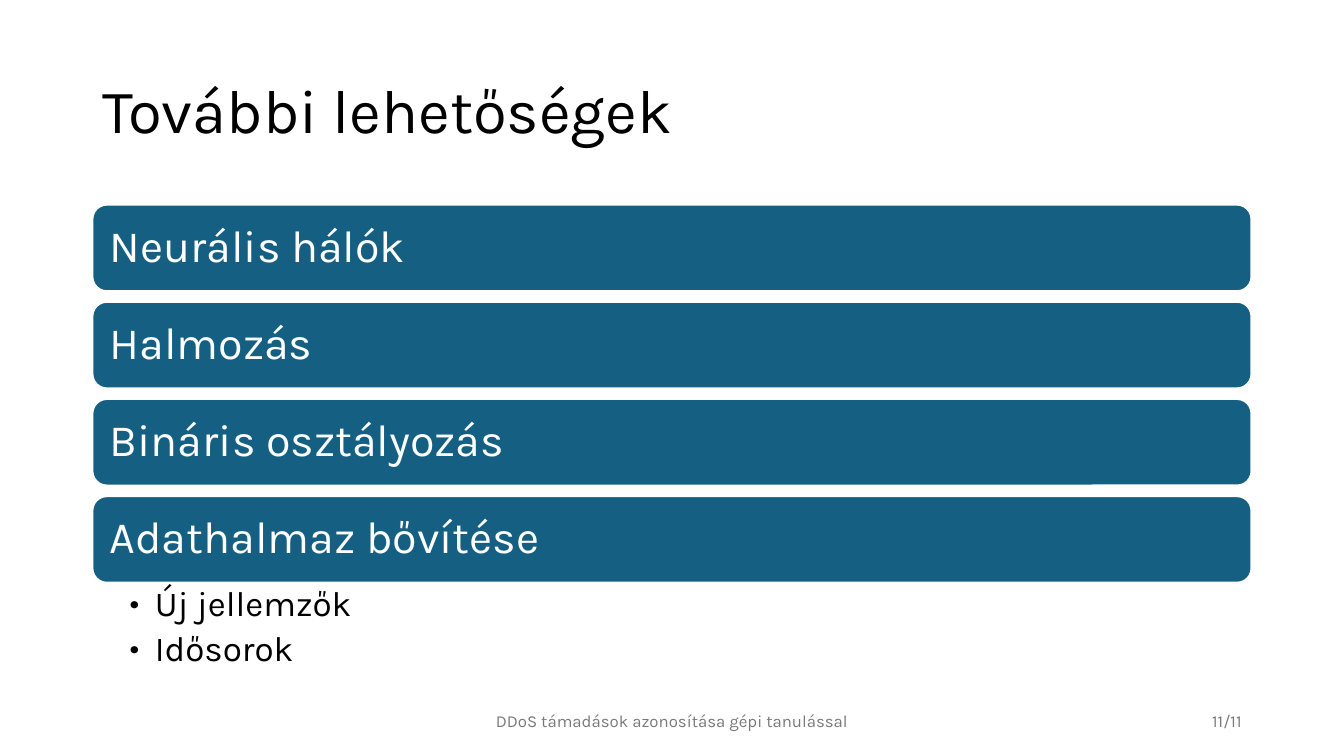
from dataclasses import dataclass

from lxml.etree import SubElement
from pptx import Presentation
from pptx.dml.color import RGBColor
from pptx.enum.shapes import MSO_SHAPE
from pptx.enum.text import MSO_ANCHOR, PP_ALIGN
from pptx.oxml.ns import qn
from pptx.util import Inches, Pt

FONT = "Karla"
BLACK, WHITE, BLUE, GREY = "000000", "FFFFFF", "156082", "797979"
COLUMNS, ROWS = 160, 150

deck = Presentation()
deck.slide_width, deck.slide_height = Inches(40 / 3), Inches(7.5)
page = deck.slides.add_slide(deck.slide_layouts[6])


@dataclass
class Area:
    """A place on the slide, in grid columns and rows."""
    column: float
    row: float
    columns: float
    rows: float

    def lengths(self) -> tuple[int, int, int, int]:
        width, height = deck.slide_width / COLUMNS, deck.slide_height / ROWS
        return (round(self.column * width), round(self.row * height),
                round(self.columns * width), round(self.rows * height))


@dataclass
class Style:
    size: float
    color: str
    align: PP_ALIGN = PP_ALIGN.LEFT
    anchor: MSO_ANCHOR = MSO_ANCHOR.MIDDLE
    line_spacing: float = 0.9
    space_after: float = 0
    insets: tuple[float, float, float, float] = (0.1, 0.05, 0.1, 0.05)
    bullet: bool = False


@dataclass
class Label:
    text: str
    area: Area
    style: Style


def rgb(color: str) -> RGBColor:
    return RGBColor.from_string(color)


def add_bullet(para) -> None:
    para.level = 1
    properties = para._p.get_or_add_pPr()
    properties.set("marL", str(Inches(0.25)))
    properties.set("indent", str(-Inches(0.25)))
    SubElement(properties, qn("a:buFont")).set("typeface", FONT)
    SubElement(properties, qn("a:buChar")).set("char", "•")


def write(box, text: str, style: Style) -> None:
    frame = box.text_frame
    frame.text = text
    frame.word_wrap = True
    frame.vertical_anchor = style.anchor
    (frame.margin_left, frame.margin_top,
     frame.margin_right, frame.margin_bottom) = map(Inches, style.insets)
    for para in frame.paragraphs:
        if style.bullet:
            add_bullet(para)
        para.alignment = style.align
        para.line_spacing = style.line_spacing
        para.space_after = Pt(style.space_after)
        for span in para.runs:
            span.font.name = FONT
            span.font.size = Pt(style.size)
            span.font.color.rgb = rgb(style.color)


def add_label(label: Label) -> None:
    write(page.shapes.add_textbox(*label.area.lengths()), label.text, label.style)


def add_bar(label: Label) -> None:
    bar = page.shapes.add_shape(MSO_SHAPE.ROUNDED_RECTANGLE, *label.area.lengths())
    bar.shadow.inherit = False
    bar.fill.solid()
    bar.fill.fore_color.rgb = rgb(BLUE)
    bar.line.color.rgb = rgb(WHITE)
    bar.line.width = Pt(1.5)
    write(bar, label.text, label.style)


def main() -> None:
    left, width = 11, 138
    first_bar, bar_height, bar_step = 40.6, 17.2, 19.28
    topics = ["Neurális hálók", "Halmozás", "Bináris osztályozás", "Adathalmaz bővítése"]
    topic_style = Style(32, WHITE, space_after=11, insets=(0.13, 0.13, 0.13, 0.13))
    detail_style = Style(25, BLACK, anchor=MSO_ANCHOR.TOP, space_after=5,
                         insets=(0.37, 0.04, 0.25, 0.04), bullet=True)
    footer_style = Style(12, GREY, PP_ALIGN.CENTER, line_spacing=1)
    number_style = Style(12, GREY, PP_ALIGN.RIGHT, line_spacing=1)

    add_label(Label("További lehetőségek", Area(left, 8, width, 29), Style(44, BLACK)))
    for index, topic in enumerate(topics):
        row = first_bar + index * bar_step
        add_bar(Label(topic, Area(left, row, width, bar_height), topic_style))
    for label in (
        Label("Új jellemzők\nIdősorok", Area(left, 115.6, width, 18.8), detail_style),
        Label("DDoS támadások azonosítása gépi tanulással",
              Area(53, 139, 54, 8), footer_style),
        Label("11/11", Area(113, 139, 36, 8), number_style),
    ):
        add_label(label)
    deck.save("out.pptx")


if __name__ == "__main__":
    main()
